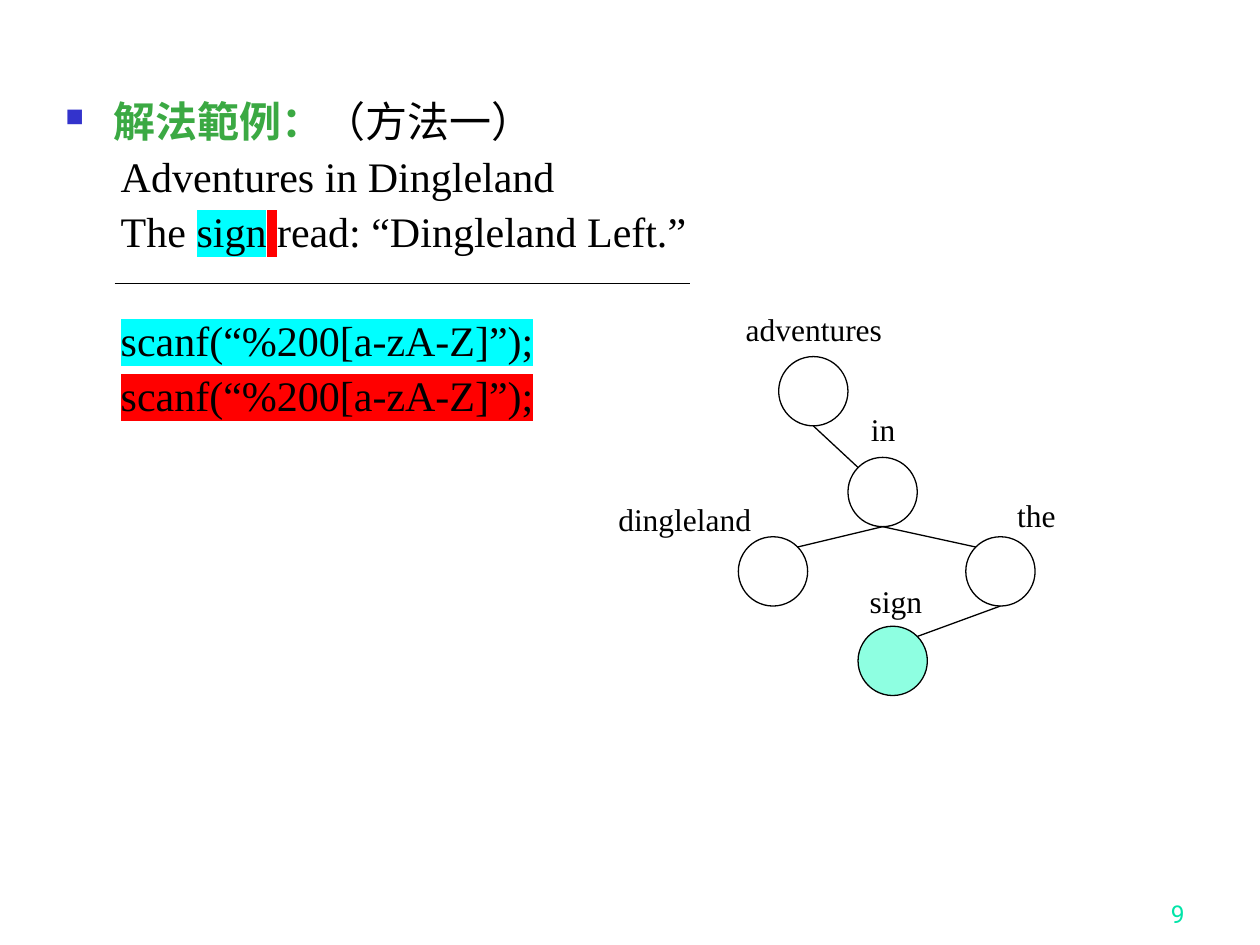
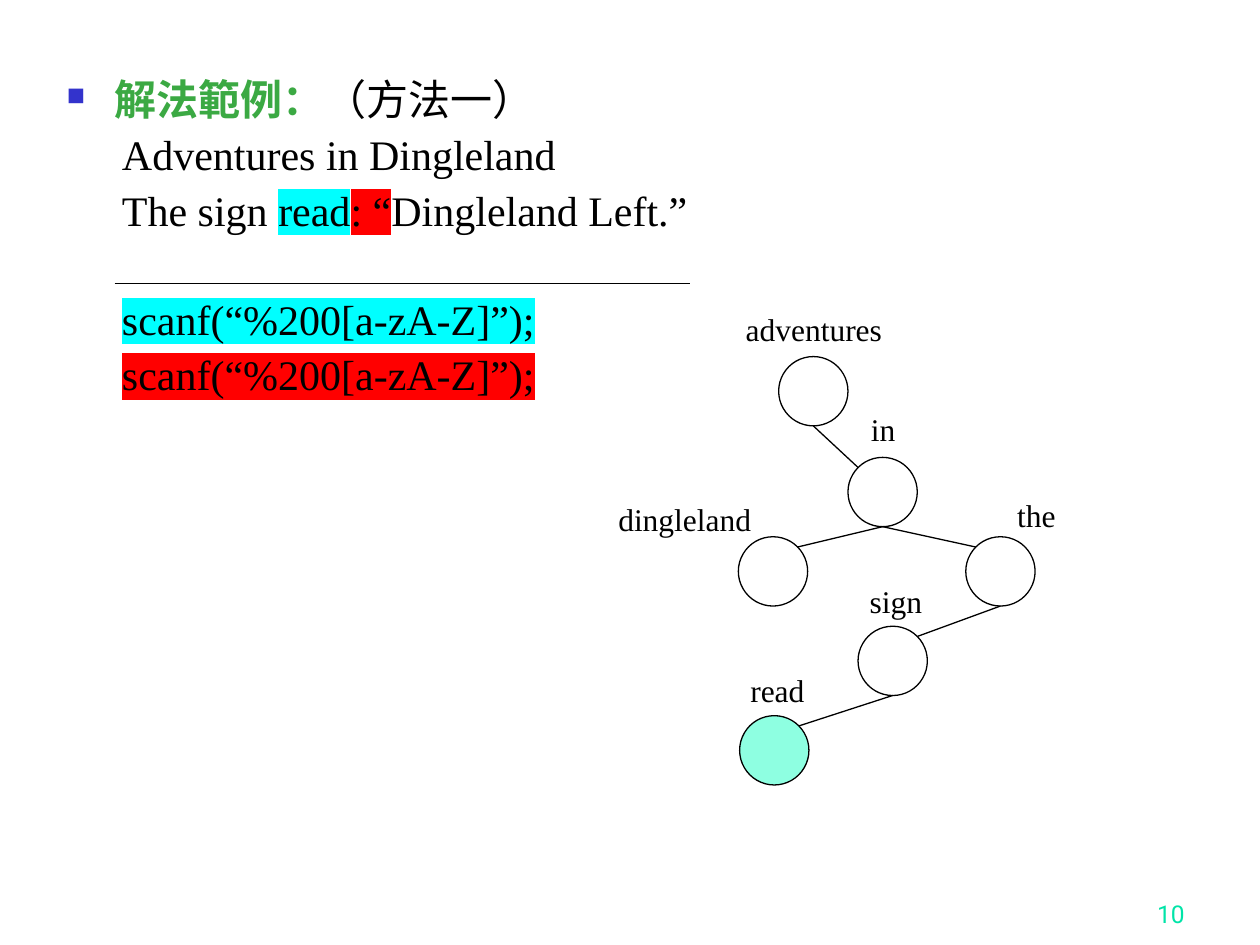
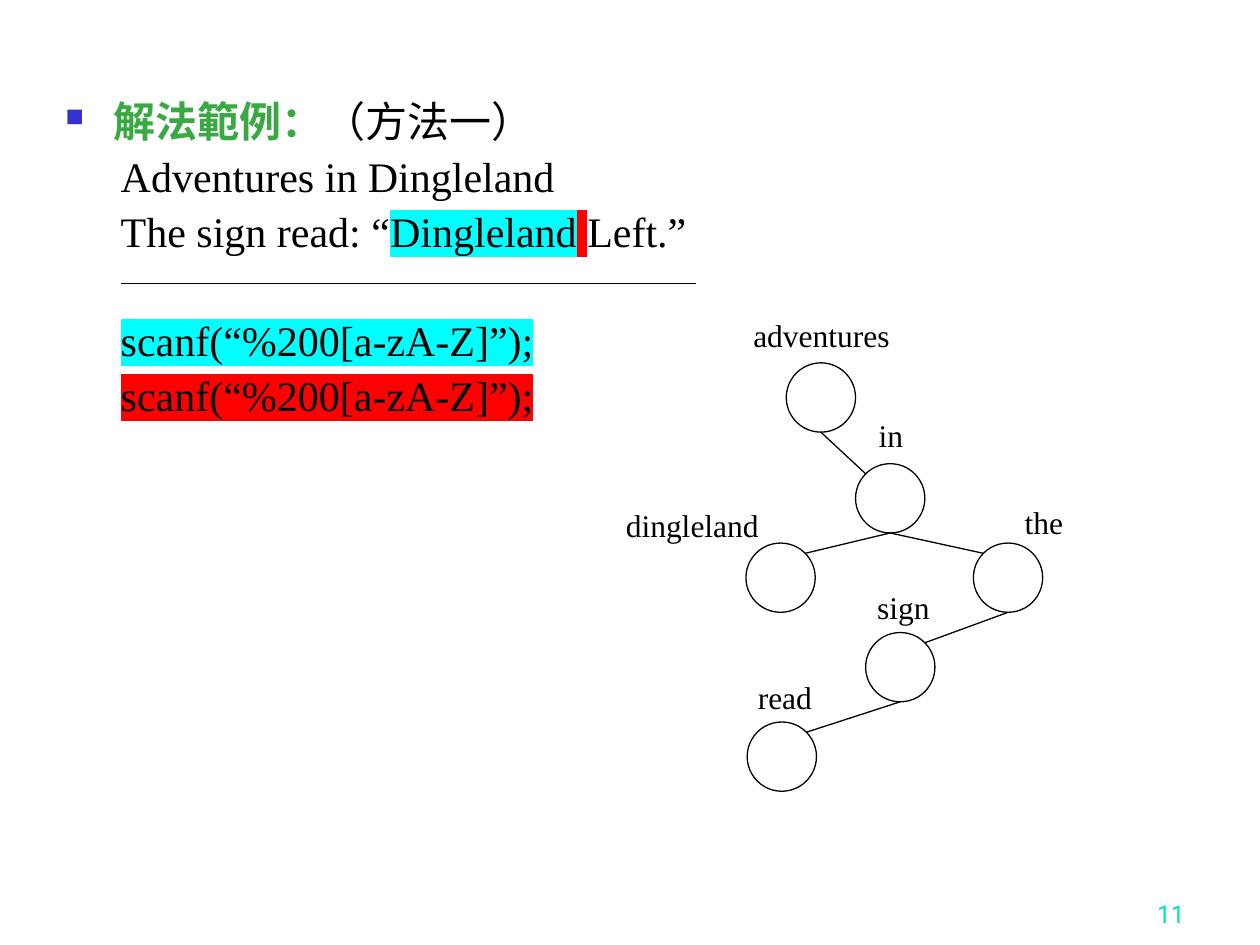
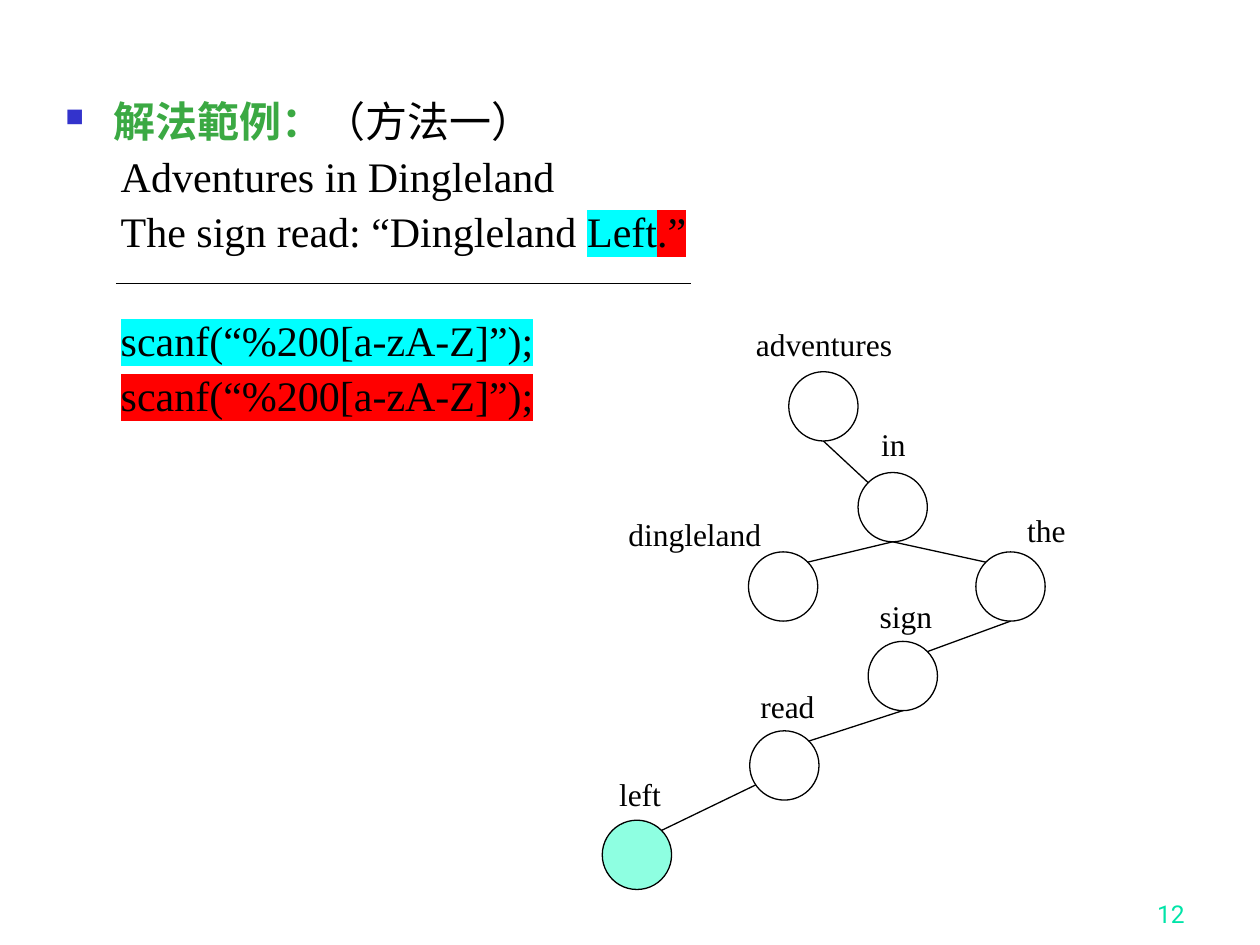
"""Builds four slides that grow a binary search tree word by word."""
from lxml import etree
from pptx import Presentation
from pptx.dml.color import RGBColor
from pptx.enum.shapes import MSO_CONNECTOR as CONN, MSO_SHAPE as SHAPE
from pptx.enum.text import MSO_ANCHOR as ANCHOR, MSO_AUTO_SIZE as AUTO, PP_ALIGN as ALIGN
from pptx.oxml.ns import qn
from pptx.util import Inches, Pt

BLACK, GREEN, BLUE, TEAL, MINT = "000000", "3BA943", "3333CC", "00E4A8", "8EFFE1"
CYAN, RED = "00FFFF", "FF0000"
SERIF, SANS = "Times New Roman", "Roboto"
SCANF = "scanf(“%200[a-zA-Z]”);"
GAP, LINE = 5.7, 30.6


def rgb(hex_):
    return RGBColor.from_string(hex_)


def add_run(p, text, size=24, color=BLACK, font=SERIF, bold=False, mark=None):
    r = p.add_run()
    r.text = text
    r.font.size, r.font.bold = Pt(size), bold
    r.font.color.rgb = rgb(color)
    if mark:
        hl = etree.SubElement(r.font._element, qn("a:highlight"))
        etree.SubElement(hl, qn("a:srgbClr"), val=mark)
    r.font.name = font


prs = Presentation()
prs.slide_width, prs.slide_height = Inches(10), Inches(7.5)
COL, ROW = prs.slide_width / 100, prs.slide_height / 75
NODE = 5.5

# word: parent, node offset from the root, label offset from the node, label width
TREE = {
    "adventures": (None, 0, 0, -3.7, -4.2, 13),
    "in": ("adventures", 5.5, 8, 0.8, -4.25, 4),
    "dingleland": ("in", -3.2, 14.3, -10.75, -3.4, 13),
    "the": ("in", 14.85, 14.3, 3.05, -3.7, 5.1),
    "sign": ("the", 6.3, 21.4, -0.1, -4, 6.2),
    "read": ("sign", -3.1, 28.5, -0.2, -4, 6.4),
    "left": ("read", -14.8, 35.6, 0.3, -4.1, 5.4),
}

# body left and top, rule left, root left and top, nodes shown, new word, sentence parts
STEPS = [
    (4.2, 7.5, 9.1, 61.8, 28.3, 5, "sign", "The ", "sign", " ", "read: “Dingleland Left.”"),
    (4.3, 5.8, 9.1, 61.8, 28.3, 6, "read", "The sign ", "read", ": “", "Dingleland Left.”"),
    (4.2, 7.5, 9.6, 62.4, 28.8, 6, None, "The sign read: “", "Dingleland", " ", "Left.”"),
    (4.2, 7.5, 9.2, 62.6, 29.5, 7, "left", "The sign read: “Dingleland ", "Left", ".”", ""),
]

for number, step in enumerate(STEPS, 9):
    left, top, rule, root_x, root_y, count, new, before, word, stop, after = step
    s = prs.slides.add_slide(prs.slide_layouts[6])

    sp = s.shapes.add_textbox(int(74.2 * COL), int(69.2 * ROW), int(20.8 * COL), int(5 * ROW))
    tf = sp.text_frame
    tf.word_wrap, tf.vertical_anchor = True, ANCHOR.BOTTOM
    p = tf.paragraphs[0]
    p.alignment = ALIGN.RIGHT
    add_run(p, str(number), 14, TEAL, SANS)

    sp = s.shapes.add_textbox(int(left * COL), int(top * ROW), int(88.3 * COL), int(61.5 * ROW))
    tf = sp.text_frame
    tf.word_wrap = True
    p = tf.paragraphs[0]
    p.line_spacing = 0.9
    pPr = p._p.get_or_add_pPr()
    pPr.set("marL", str(Inches(0.38)))
    pPr.set("indent", str(-Inches(0.38)))
    bu = etree.SubElement(pPr, qn("a:buClr"))
    etree.SubElement(bu, qn("a:srgbClr"), val=BLUE)
    etree.SubElement(pPr, qn("a:buSzPct"), val="60000")
    etree.SubElement(pPr, qn("a:buChar"), char="■")
    add_run(p, "解法範例：", color=GREEN, bold=True)
    add_run(p, "（方法一）")

    lines = [
        (GAP, [("Adventures in Dingleland", None)]),
        (GAP, [(before, None), (word, CYAN), (stop, RED), (after, None)]),
        (GAP + LINE, [(SCANF, CYAN)]),
        (GAP, [(SCANF, RED)]),
    ]
    for space, runs in lines:
        p = tf.add_paragraph()
        p.level, p.line_spacing, p.space_before = 1, 0.9, Pt(space)
        pPr = p._p.get_or_add_pPr()
        pPr.set("marL", str(Inches(0.44)))
        pPr.set("indent", "0")
        etree.SubElement(pPr, qn("a:buNone"))
        for text, mark in runs:
            if text:
                add_run(p, text, mark=mark)

    edges = [(rule, 22.5, rule + 45.65, 22.5)]
    for name, (parent, dx, dy, label_x, label_y, label_w) in list(TREE.items())[:count]:
        x, y = root_x + dx, root_y + dy
        sp = s.shapes.add_shape(SHAPE.OVAL, int(x * COL), int(y * ROW), int(NODE * COL), int(NODE * ROW))
        sp.shadow.inherit = False
        sp.line.color.rgb, sp.line.width = rgb(BLACK), Pt(0.75)
        if name == new:
            sp.fill.solid()
            sp.fill.fore_color.rgb = rgb(MINT)
        else:
            sp.fill.background()

        sp = s.shapes.add_textbox(int((x + label_x) * COL), int((y + label_y) * ROW),
                                  int(label_w * COL), int(4 * ROW))
        tf = sp.text_frame
        tf.word_wrap, tf.auto_size = False, AUTO.SHAPE_TO_FIT_TEXT
        p = tf.paragraphs[0]
        p.alignment = ALIGN.CENTER
        add_run(p, name, 18)

        if parent:
            px, py = TREE[parent][1:3]
            from_x, from_y = (0.09, 0.78) if name == "left" else (0.5, 1)
            to_x = 0.15 if dx > px else 0.85
            edges.append((root_x + px + from_x * NODE, root_y + py + from_y * NODE,
                          x + to_x * NODE, y + 0.15 * NODE))

    for x1, y1, x2, y2 in edges:
        sp = s.shapes.add_connector(CONN.STRAIGHT, int(x1 * COL), int(y1 * ROW), int(x2 * COL), int(y2 * ROW))
        sp.line.color.rgb, sp.line.width = rgb(BLACK), Pt(0.75)
        etree.SubElement(sp._element.spPr, qn("a:effectLst"))

prs.save("out.pptx")
